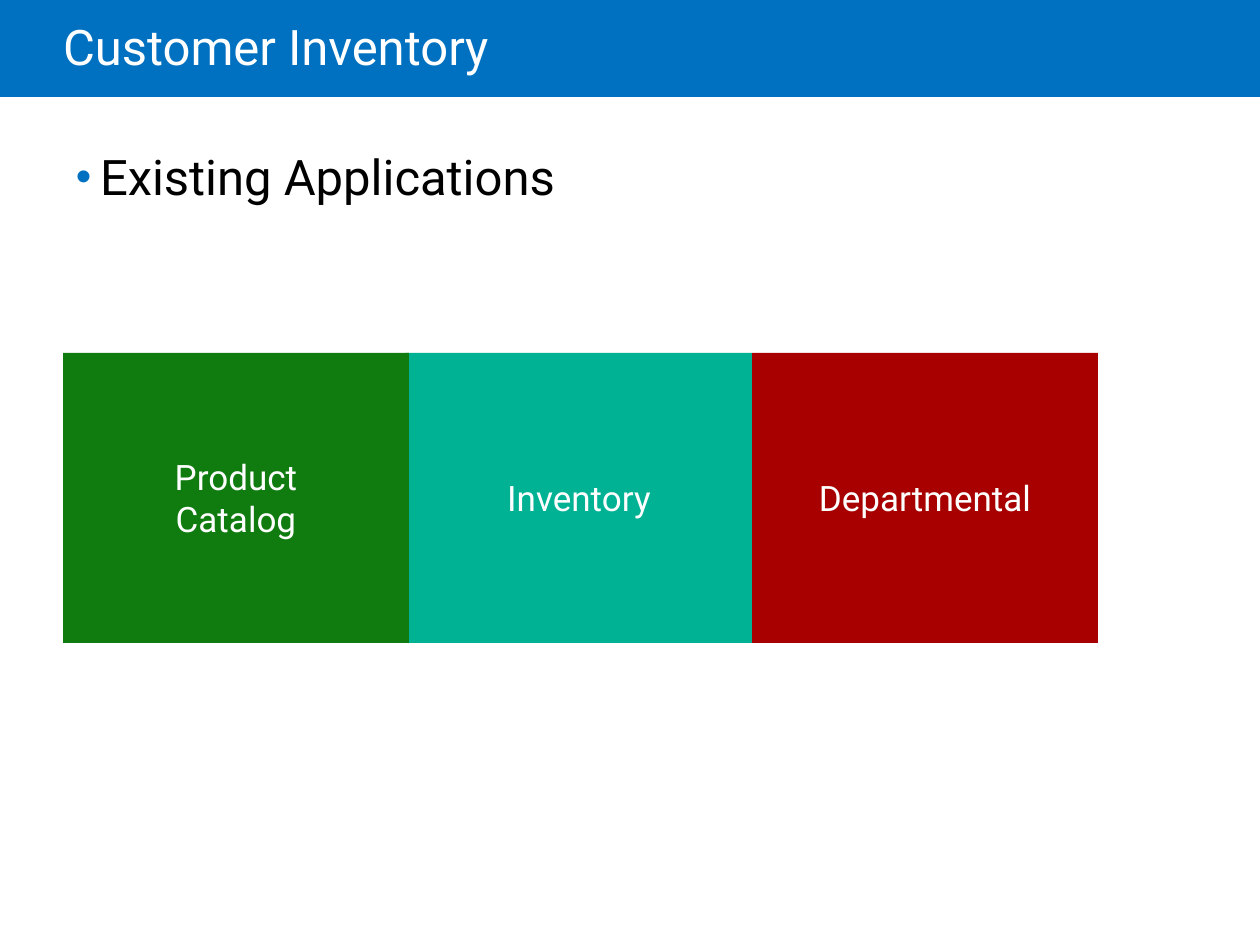
from lxml.etree import SubElement
from pptx import Presentation
from pptx.dml.color import RGBColor
from pptx.enum.shapes import MSO_SHAPE
from pptx.enum.text import MSO_ANCHOR, MSO_AUTO_SIZE, PP_ALIGN
from pptx.oxml.ns import qn
from pptx.util import Pt

PX = 914400 // 126
FONT = "Roboto"
WHITE = RGBColor(0xFF, 0xFF, 0xFF)
BLACK = RGBColor(0x00, 0x00, 0x00)
BLUE = RGBColor(0x00, 0x70, 0xC0)
RED = RGBColor(0xA8, 0x00, 0x00)
TEAL = RGBColor(0x00, 0xB2, 0x94)
GREEN = RGBColor(0x10, 0x7C, 0x10)

TILE_TOP, TILE_WIDTH, TILE_HEIGHT = 353, 346, 290
TILES = [
    ("Departmental", 752, RED),
    ("Inventory", 406, TEAL),
    ("Product Catalog", 63, GREEN),
]


def write(shape, text, *, size, color, insets, align=PP_ALIGN.LEFT,
          anchor=MSO_ANCHOR.MIDDLE, line_spacing=1.0):
    """Fill a shape with one formatted paragraph and return the paragraph."""
    frame = shape.text_frame
    frame.text = text
    frame.word_wrap = True
    frame.auto_size = MSO_AUTO_SIZE.NONE
    frame.vertical_anchor = anchor
    (frame.margin_left, frame.margin_top,
     frame.margin_right, frame.margin_bottom) = [inset * PX for inset in insets]
    paragraph = frame.paragraphs[0]
    paragraph.alignment = align
    paragraph.line_spacing = line_spacing
    paragraph.space_before = Pt(0)
    font = paragraph.runs[0].font
    font.name = FONT
    font.size = Pt(size)
    font.color.rgb = color
    return paragraph


def place(shape, left, top, width, height):
    """Move and size a placeholder in px."""
    shape.left, shape.top = left * PX, top * PX
    shape.width, shape.height = width * PX, height * PX


def add_block(slide, left, top, width, height, color):
    """Add a plain filled rectangle."""
    block = slide.shapes.add_shape(
        MSO_SHAPE.RECTANGLE, left * PX, top * PX, width * PX, height * PX)
    block.shadow.inherit = False
    block.fill.solid()
    block.fill.fore_color.rgb = color
    block.line.fill.background()
    return block


def add_bullet(paragraph, color, indent):
    """Give a paragraph a coloured round bullet with a hanging indent."""
    properties = paragraph._p.get_or_add_pPr()
    properties.set("marL", str(indent * PX))
    properties.set("indent", str(-indent * PX))
    bullet_color = SubElement(properties, qn("a:buClr"))
    SubElement(bullet_color, qn("a:srgbClr"), val=str(color))
    SubElement(properties, qn("a:buSzPct"), val="90000")
    SubElement(properties, qn("a:buFont"), typeface="Arial")
    SubElement(properties, qn("a:buChar"), char="•")


def add_header(slide):
    """Set the title on a band that lies behind it."""
    band = add_block(slide, 0, 0, 1260, 97, BLUE)
    title = slide.shapes.title
    title._element.addprevious(band._element)
    place(title, 63, 0, 1071, 102)
    write(title, "Customer Inventory", size=28, color=WHITE,
          insets=(0, 6, 13, 6), line_spacing=0.85)


def add_topic(slide):
    """Set the bulleted topic in the body placeholder."""
    body = slide.placeholders[1]
    place(body, 63, 141, 1119, 709)
    topic = write(body, "Existing Applications", size=28, color=BLACK,
                  insets=(13, 6, 13, 6), anchor=MSO_ANCHOR.TOP)
    add_bullet(topic, BLUE, 24)


def add_tile(slide, label, left, color):
    """Add one labelled application tile."""
    tile = add_block(slide, left, TILE_TOP, TILE_WIDTH, TILE_HEIGHT, color)
    write(tile, label, size=20, color=WHITE, insets=(50, 13, 50, 13),
          align=PP_ALIGN.CENTER)


def main():
    """Build and save the slide."""
    presentation = Presentation()
    presentation.slide_width = 1260 * PX
    presentation.slide_height = 945 * PX
    slide = presentation.slides.add_slide(presentation.slide_layouts[1])
    add_header(slide)
    add_topic(slide)
    for label, left, color in TILES:
        add_tile(slide, label, left, color)
    presentation.save("out.pptx")


if __name__ == "__main__":
    main()
